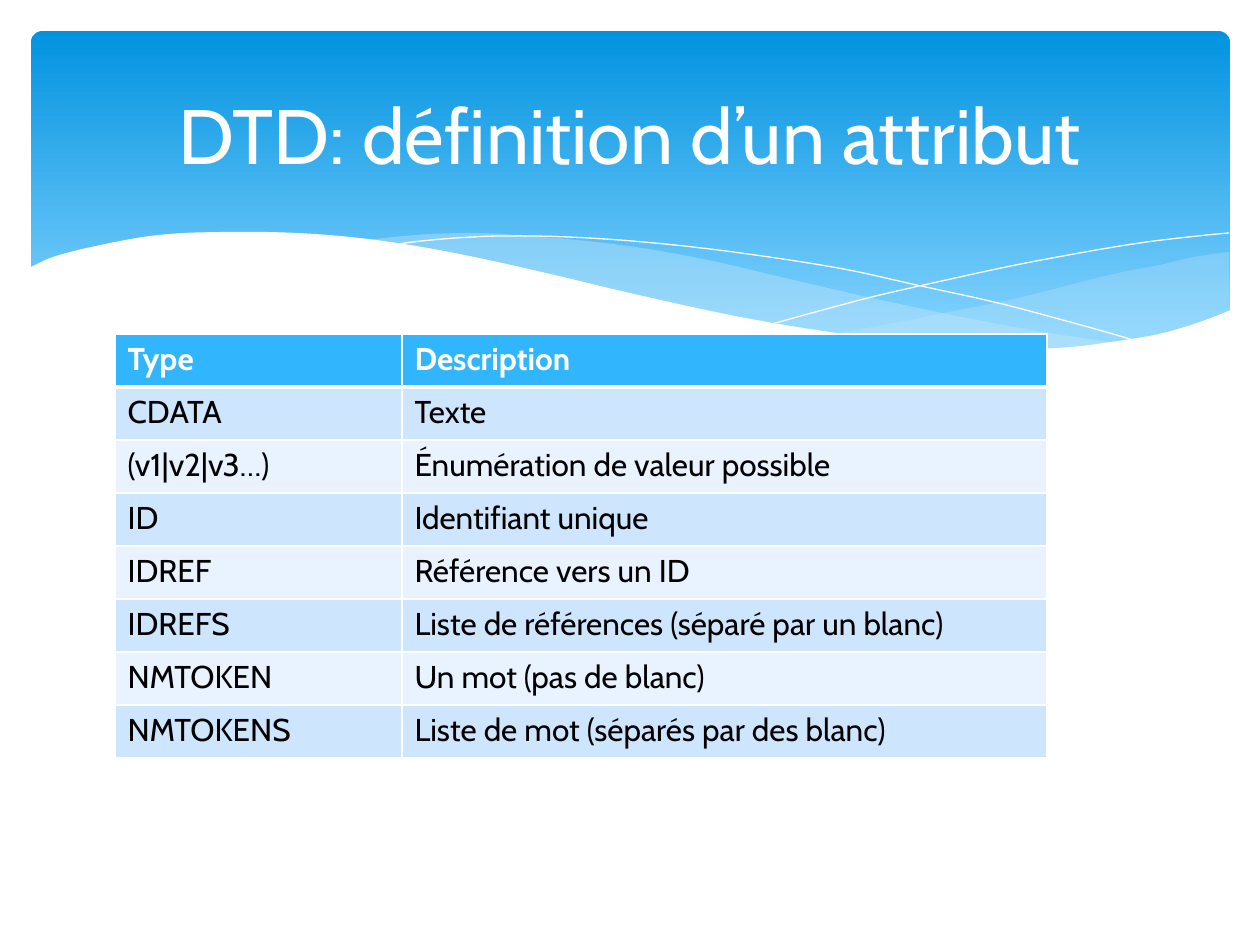
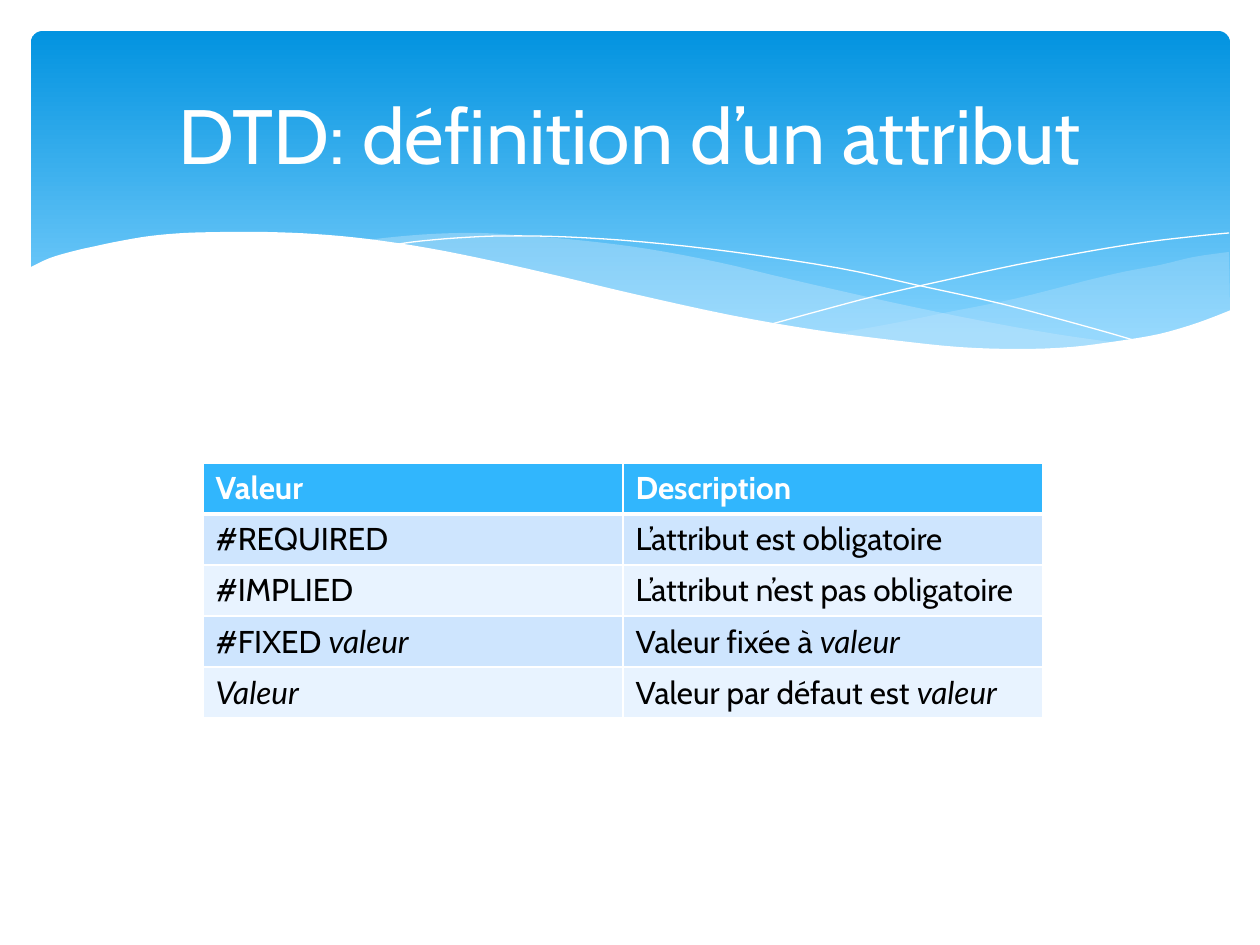
"""Builds two slides on DTD attribute definitions, each a wave banner with a table."""
from pptx import Presentation, oxml, util as u
from pptx.dml.color import RGBColor
from pptx.enum import shapes, text

PX = 914400 / 126
WHITE = RGBColor(0xFF, 0xFF, 0xFF)
BLACK = RGBColor(0x00, 0x00, 0x00)
BANNER_TOP = RGBColor(0x02, 0x93, 0xE0)
BANNER_BOTTOM = RGBColor(0x83, 0xD3, 0xFE)
MIST = RGBColor(0xC6, 0xE7, 0xFC)
HEADER = RGBColor(0x31, 0xB6, 0xFD)
BANDS = RGBColor(0xE8, 0xF3, 0xFF), RGBColor(0xCE, 0xE5, 0xFE)
FONT, ITALIC_FONT = "Cabin", "Lato"
NS = 'xmlns:a="http://schemas.openxmlformats.org/drawingml/2006/main"'

RIGHT_SWELL = [
    [(1229, 252), (1194, 257), (1160, 265), (1123, 272), (1085, 281), (1014, 299),
     (949, 312), (890, 324), (833, 334)],
    [(833, 334), (888, 341), (939, 347), (984, 349), (1026, 350), (1076, 348),
     (1120, 343), (1160, 334), (1196, 324), (1230, 311)]]
LEFT_SWELL = [
    [(1125, 344), (1055, 334), (977, 320), (890, 302), (793, 280), (717, 262), (648, 249),
     (586, 241), (529, 236), (479, 233), (433, 234), (394, 237), (360, 241)],
    [(360, 241), (431, 251), (509, 266), (566, 280), (668, 302), (757, 321), (838, 335),
     (910, 345), (974, 349), (1031, 350), (1080, 349), (1125, 344)]]
FALLING_LINE = [
    [(389, 246), (413, 242), (457, 238), (505, 236), (567, 237), (643, 242), (733, 252),
     (838, 268), (916, 285), (1002, 304), (1095, 329), (1143, 343)]]
RISING_LINE = [
    [(772, 324), (823, 310), (876, 296), (942, 281), (1016, 265), (1091, 251),
     (1147, 242), (1198, 236), (1229, 233)]]
WHITE_WAVE = [
    [(1231, 310), (1197, 323), (1159, 334), (1118, 341), (1071, 347), (1019, 349),
     (959, 347), (892, 340), (816, 330), (730, 315), (634, 294), (563, 277), (493, 261),
     (428, 248), (368, 239), (315, 234), (266, 232), (223, 232), (184, 233), (150, 236),
     (120, 241), (96, 246), (74, 251), (50, 258), (29, 268)],
    [(29, 415), (1231, 415)]]
WAVES = [(RIGHT_SWELL, MIST, 29), (LEFT_SWELL, MIST, 40), (FALLING_LINE, None, 100),
         (RISING_LINE, None, 100), (WHITE_WAVE, WHITE, 100)]

TITLE = "DTD: définition d’un attribut"
TABLES = [
    (115, 334, (287, 645), 53, [
        ("Type", "Description"),
        ("CDATA", "Texte"),
        ("(v1|v2|v3…)", "Énumération de valeur possible"),
        ("ID", "Identifiant unique"),
        ("IDREF", "Référence vers un ID"),
        ("IDREFS", "Liste de références (séparé par un blanc)"),
        ("NMTOKEN", "Un mot (pas de blanc)"),
        ("NMTOKENS", "Liste de mot (séparés par des blanc)")]),
    (203, 463, (420, 420), 51, [
        ("Valeur", "Description"),
        ("#REQUIRED", "L’attribut est obligatoire"),
        ("#IMPLIED", "L’attribut n’est pas obligatoire"),
        ("#FIXED *valeur*", "Valeur fixée à *valeur*"),
        ("*Valeur*", "Valeur par défaut est *valeur*")])]


def px(*lengths):
    return [u.Emu(round(length * PX)) for length in lengths]


def smooth(points, steps=4):
    """Return a Catmull-Rom curve through the points, in EMU."""
    padded = [points[0], *points, points[-1]]
    curve = [px(*points[0])]
    for a, b, c, d in zip(padded, padded[1:], padded[2:], padded[3:]):
        for step in range(1, steps + 1):
            t = step / steps
            curve.append(px(*(
                (2 * q + (r - p) * t + (2 * p - 5 * q + 4 * r - s) * t ** 2
                 + (3 * q - p - 3 * r + s) * t ** 3) / 2
                for p, q, r, s in zip(a, b, c, d))))
    return curve


deck = Presentation()
deck.slide_width, deck.slide_height = px(1260, 945)

for left, top, widths, row_height, rows in TABLES:
    slide = deck.slides.add_slide(deck.slide_layouts[6])

    banner = slide.shapes.add_shape(shapes.MSO_SHAPE.ROUNDED_RECTANGLE, *px(31, 31, 1199, 340))
    banner.adjustments[0] = 0.034
    banner.shadow.inherit = False
    banner.line.fill.background()
    banner.fill.gradient()
    banner.fill.gradient_angle = 270
    for stop, color, position in zip(banner.fill.gradient_stops, (BANNER_TOP, BANNER_BOTTOM), (0, 0.9)):
        stop.color.rgb = color
        stop.position = position

    for edges, color, opacity in WAVES:
        outline = [point for edge in edges for point in smooth(edge)]
        builder = slide.shapes.build_freeform(*outline[0])
        builder.add_line_segments(outline[1:], close=color is not None)
        wave = builder.convert_to_shape()
        wave.shadow.inherit = False
        if color is None:
            wave.fill.background()
            wave.line.color.rgb = WHITE
            wave.line.width = u.Pt(0)
            continue
        wave.line.fill.background()
        wave.fill.solid()
        wave.fill.fore_color.rgb = color
        if opacity < 100:
            tint = wave.fill._xPr.find(".//{*}solidFill/{*}srgbClr")
            tint.append(oxml.parse_xml(f'<a:alpha {NS} val="{opacity * 1000}"/>'))

    title = slide.shapes.add_textbox(*px(63, 47, 1134, 173)).text_frame
    title.word_wrap = True
    title.vertical_anchor = text.MSO_ANCHOR.MIDDLE
    heading = title.paragraphs[0]
    heading.text = TITLE
    heading.alignment = text.PP_ALIGN.CENTER
    heading.font.name, heading.font.size = FONT, u.Pt(44)
    heading.font.color.rgb = WHITE

    table = slide.shapes.add_table(
        len(rows), len(widths), *px(left, top, sum(widths), row_height * len(rows))).table
    for column, width in zip(table.columns, widths):
        column.width = px(width)[0]
    for r, row in enumerate(rows):
        table.rows[r].height = px(row_height)[0]
        for c, content in enumerate(row):
            cell = table.cell(r, c)
            cell.fill.solid()
            cell.fill.fore_color.rgb = BANDS[r % 2] if r else HEADER
            borders = {"L": 1, "R": 1, "T": 3 if r == 1 else 1, "B": 1 if r else 3}
            for place, (side, points) in enumerate(borders.items()):
                cell._tc.get_or_add_tcPr().insert(place, oxml.parse_xml(
                    f'<a:ln{side} {NS} w="{points * 12700}"><a:solidFill>'
                    f'<a:srgbClr val="{WHITE}"/></a:solidFill></a:ln{side}>'))
            line = cell.text_frame.paragraphs[0]
            line.font.name, line.font.size = FONT, u.Pt(18)
            line.font.bold = r == 0
            line.font.color.rgb = BLACK if r else WHITE
            for part, words in enumerate(content.split("*")):
                if words:
                    run = line.add_run()
                    run.text = words
                    if part % 2:
                        run.font.name, run.font.italic = ITALIC_FONT, True

deck.save("out.pptx")
